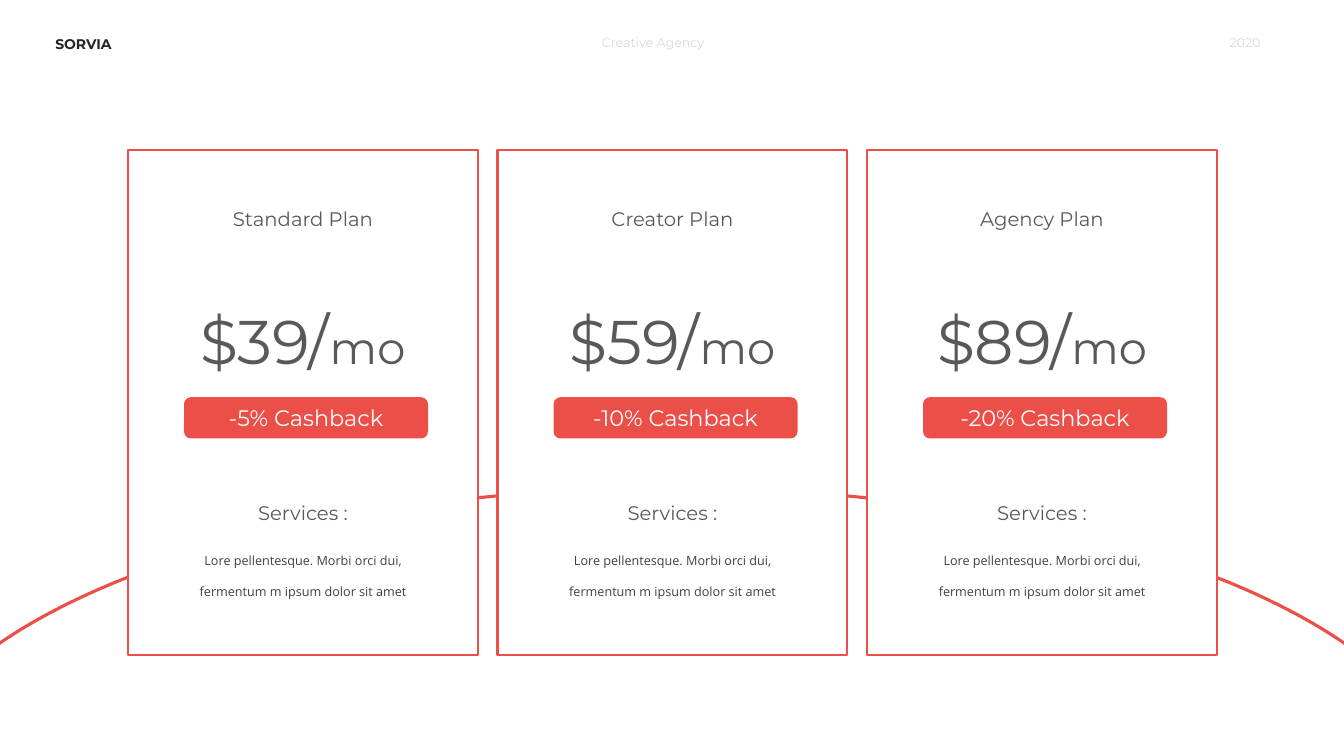
from pptx import Presentation
from pptx import util as u
from pptx.dml.color import RGBColor
from pptx.enum import shapes, text

RED = RGBColor(0xEB, 0x4F, 0x48)
WHITE = RGBColor(0xFF, 0xFF, 0xFF)
BLACK = RGBColor(0x26, 0x26, 0x26)
DARK = RGBColor(0x40, 0x40, 0x40)
GRAY = RGBColor(0x59, 0x59, 0x59)
PALE = RGBColor(0xD9, 0xD9, 0xD9)

WIDTH, HEIGHT = 13.33, 7.5
CARD_LEFT, CARD_TOP, CARD_WIDTH, CARD_HEIGHT = 1.27, 1.49, 3.47, 5.01
CARD_PITCH = 3.665
LEFT, CENTER, RIGHT = text.PP_ALIGN.LEFT, text.PP_ALIGN.CENTER, text.PP_ALIGN.RIGHT

PLANS = [
    ("Standard Plan", "$39/", "-5% Cashback"),
    ("Creator Plan", "$59/", "-10% Cashback"),
    ("Agency Plan", "$89/", "-20% Cashback"),
]
SERVICES = "Lore pellentesque. Morbi orci dui, fermentum m ipsum dolor sit amet"


def inches(*lengths):
    return [u.Inches(length) for length in lengths]


def write(shape, words, size, color, align=CENTER, font="Montserrat"):
    frame = shape.text_frame
    frame.word_wrap = True
    frame.auto_size = text.MSO_AUTO_SIZE.SHAPE_TO_FIT_TEXT
    paragraph = frame.paragraphs[0]
    paragraph.text = words
    paragraph.alignment = align
    paragraph.font.name = font
    paragraph.font.size = u.Pt(size)
    paragraph.font.color.rgb = color
    return paragraph


def add_label(slide, box, words, size, color, **style):
    return write(slide.shapes.add_textbox(*inches(*box)), words, size, color, **style)


def add_outline(slide, kind, box, fill=None, line_width=None):
    shape = slide.shapes.add_shape(kind, *inches(*box))
    shape.shadow.inherit = False
    if fill is None:
        shape.fill.background()
    else:
        shape.fill.solid()
        shape.fill.fore_color.rgb = fill
    if line_width is None:
        shape.line.fill.background()
    else:
        shape.line.color.rgb = RED
        shape.line.width = u.Pt(line_width)
    return shape


def add_header(slide, left, top, right):
    name = add_label(slide, (left, top, 1.07, 0.27), "SORVIA", 10, BLACK, align=LEFT)
    name.font.bold = True
    add_label(slide, (5.87, top, 1.58, 0.25), "Creative Agency", 9, PALE, align=LEFT)
    add_label(slide, (right - 1.58, top, 1.58, 0.25), "2020", 9, PALE, align=RIGHT)


def add_plan(slide, left, top, width, height, plan):
    title, price, cashback = plan

    def centered(offset, part_width, part_height, shift=0):
        return left + (width - part_width) / 2 + shift, top + offset, part_width, part_height

    add_outline(slide, shapes.MSO_SHAPE.RECTANGLE, (left, top, width, height), WHITE, 1.5)
    add_label(slide, centered(0.51, 2.78, 0.34), title, 14, GRAY)
    amount = add_label(slide, centered(1.47, 3, 0.84), price, 44, GRAY)
    period = amount.add_run()
    period.text = "mo"
    period.font.size = u.Pt(32)
    badge = add_outline(slide, shapes.MSO_SHAPE.ROUNDED_RECTANGLE,
                        centered(2.45, 2.42, 0.41, 0.03), RED)
    write(badge, cashback, 16, WHITE)
    add_label(slide, centered(3.43, 3, 0.34), "Services :", 14, GRAY)
    details = add_label(slide, centered(3.8, 2.75, 0.66), SERVICES, 9, DARK, font="Open Sans")
    details.line_spacing = 2.0


def main():
    presentation = Presentation()
    presentation.slide_width, presentation.slide_height = inches(WIDTH, HEIGHT)
    slide = presentation.slides.add_slide(presentation.slide_layouts[6])
    add_outline(slide, shapes.MSO_SHAPE.OVAL, (-1.07, 4.84, 15.47, 6.25), line_width=2.25)
    add_header(slide, 0.45, 0.3, 12.6)
    for column, plan in enumerate(PLANS):
        add_plan(slide, CARD_LEFT + column * CARD_PITCH, CARD_TOP, CARD_WIDTH, CARD_HEIGHT, plan)
    presentation.save("out.pptx")


if __name__ == "__main__":
    main()
